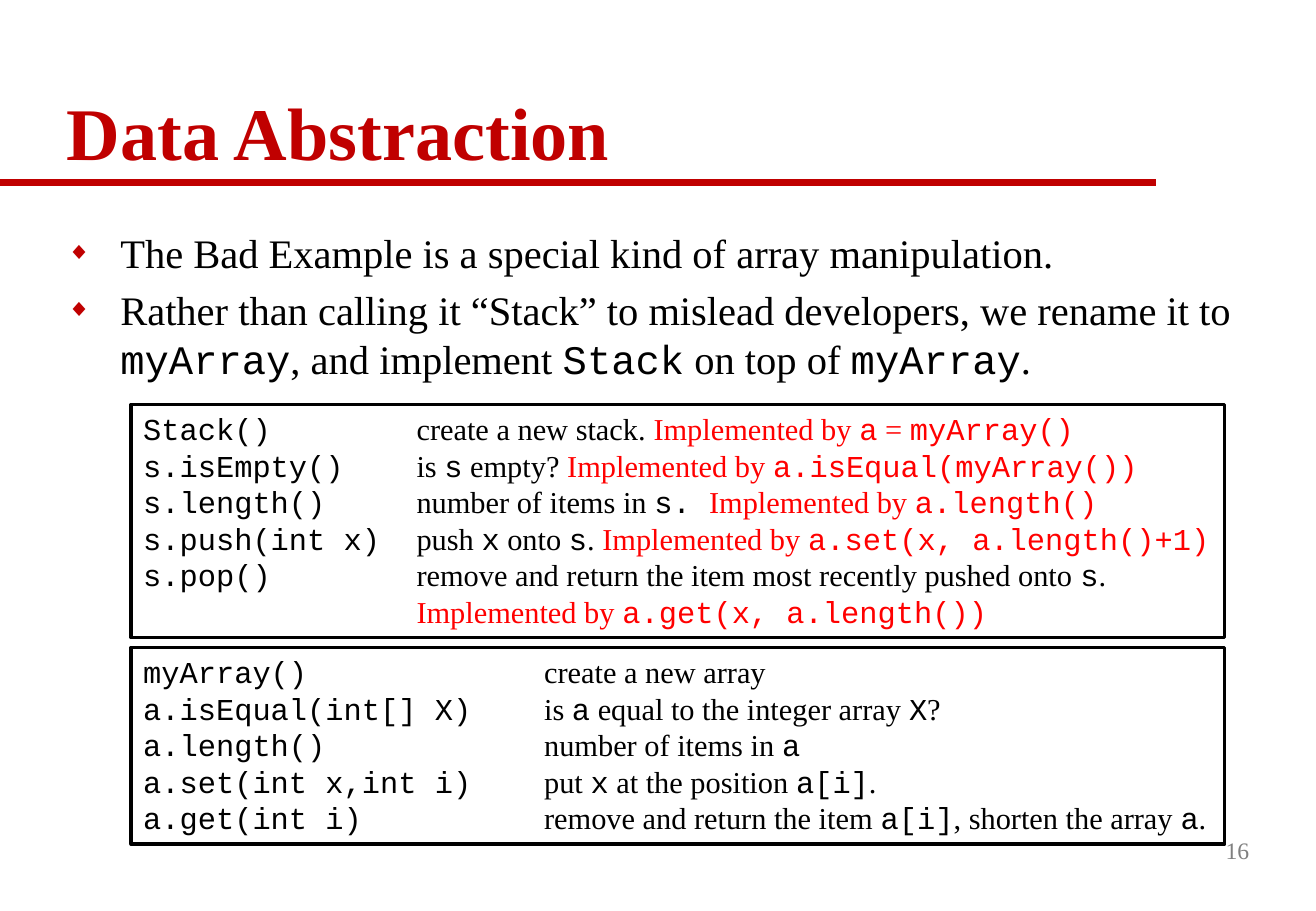
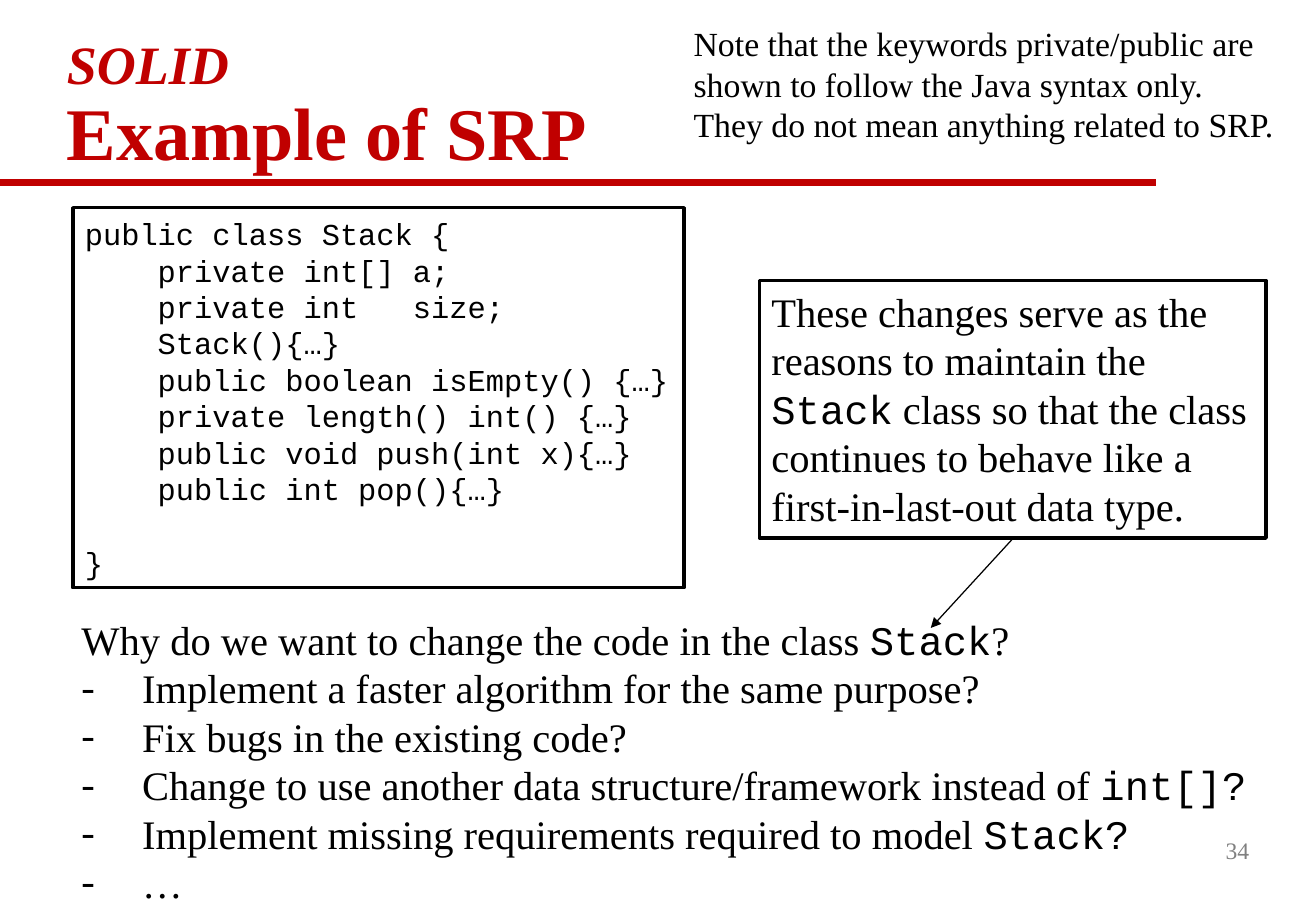
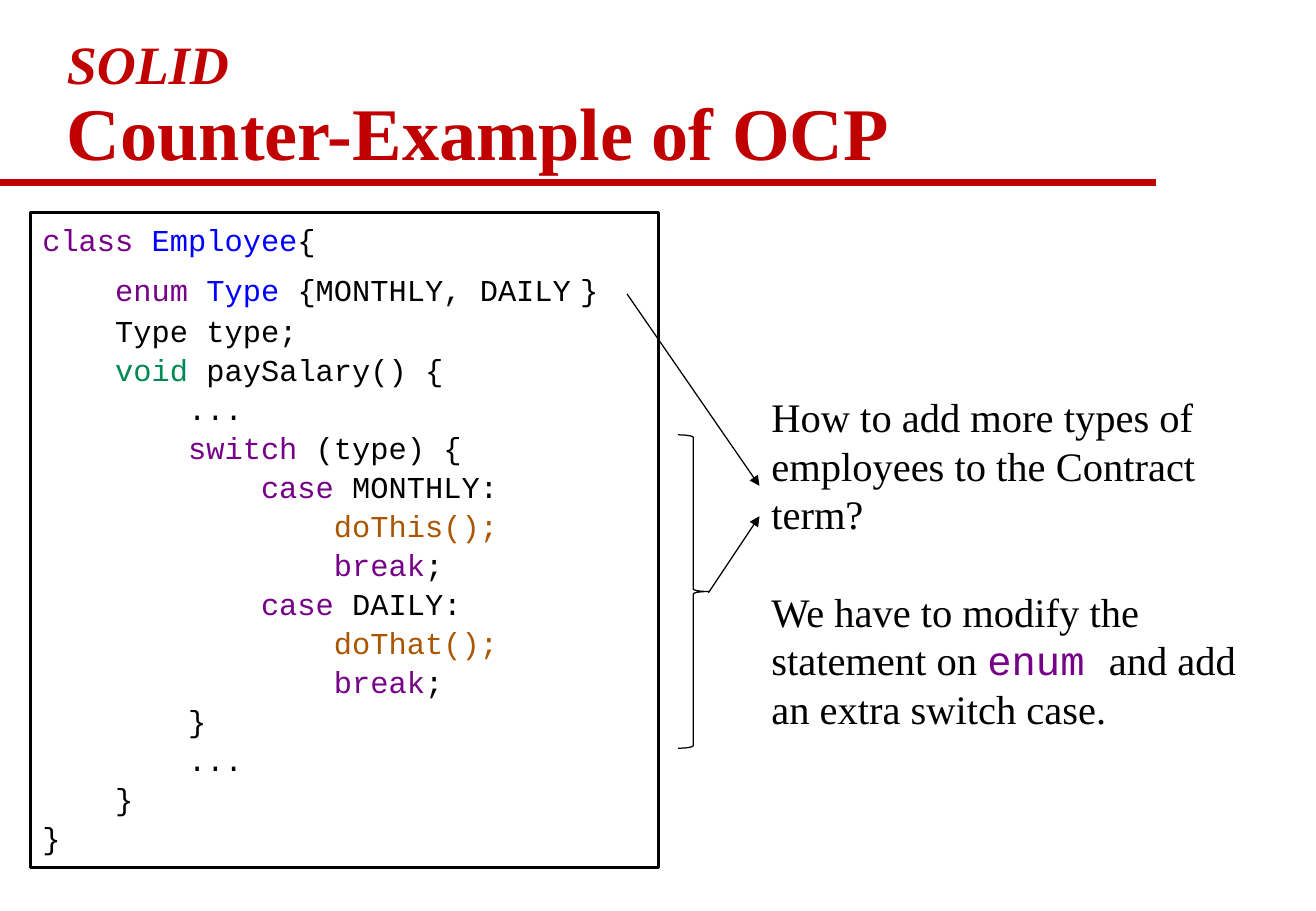
from lxml import etree
from pptx import Presentation
from pptx.dml.color import RGBColor
from pptx.enum.shapes import MSO_CONNECTOR, MSO_SHAPE
from pptx.enum.text import MSO_ANCHOR, MSO_AUTO_SIZE, PP_ALIGN
from pptx.oxml.ns import qn
from pptx.util import Pt

PX = 9144  # 100 px to the inch

SERIF = "Times New Roman"
CODE = "Courier New"
SPACER = "Calibri"

BLACK = RGBColor(0x00, 0x00, 0x00)
WHITE = RGBColor(0xFF, 0xFF, 0xFF)
CRIMSON = RGBColor(0xC0, 0x00, 0x00)
RED = RGBColor(0xFF, 0x00, 0x00)
GRAY = RGBColor(0x80, 0x80, 0x80)
PURPLE = RGBColor(0x77, 0x00, 0x88)
BLUE = RGBColor(0x00, 0x00, 0xFF)
GREEN = RGBColor(0x00, 0x88, 0x55)
ORANGE = RGBColor(0xAA, 0x55, 0x00)

LEFT, RIGHT = PP_ALIGN.LEFT, PP_ALIGN.RIGHT
TOP, MIDDLE, BOTTOM = MSO_ANCHOR.TOP, MSO_ANCHOR.MIDDLE, MSO_ANCHOR.BOTTOM
NO_AUTOFIT = MSO_AUTO_SIZE.NONE
STRAIGHT = MSO_CONNECTOR.STRAIGHT
RECTANGLE, RIGHT_BRACE = MSO_SHAPE.RECTANGLE, MSO_SHAPE.RIGHT_BRACE

TITLE_AND_BODY, TITLE_ONLY = 1, 5
RULE_ID = "20"

STACK_API = [
    ["`Stack()`\tcreate a new stack. ",
     ("Implemented by `a` = `myArray()`", RED)],
    ["`s.isEmpty()`\tis `s` empty? ",
     ("Implemented by `a.isEqual(myArray())`", RED)],
    ["`s.length()`\tnumber of items in `s. `",
     ("Implemented by `a.length()`", RED)],
    ["`s.push(int x)`\tpush `x` onto `s`. ",
     ("Implemented by `a.set(x, a.length()+1)`", RED)],
    ["`s.pop()`\tremove and return the item most recently pushed onto `s`."],
    ["\t", ("Implemented by `a.get(x, a.length())`", RED)],
]

ARRAY_API = [
    ["`myArray()`\tcreate a new array"],
    ["`a.isEqual(int[] X)`\tis `a` equal to the integer array `X`?"],
    ["`a.length()`\tnumber of items in `a`"],
    ["`a.set(int x,int i)`\tput `x` at the position `a[i]`."],
    ["`a.get(int i)`\tremove and return the item `a[i]`, shorten the array `a`."],
]

STACK_CLASS = [
    ["public class Stack {"],
    ["    private int[] a;"],
    ["    private int   size;"],
    ["    Stack(){…}"],
    ["    public boolean isEmpty() {…}"],
    ["    private length() int() {…}"],
    ["    public void push(int x){…}"],
    ["    public int pop(){…}"],
    ["}"],
]

CHANGE_REASONS = [
    ["Why do we want to change the code in the class `Stack`?"],
    ["Implement a faster algorithm for the same purpose?"],
    ["Fix bugs in the existing code?"],
    ["Change to use another data structure/framework instead of `int[]?`"],
    ["Implement missing requirements required to model `Stack?`"],
    ["…"],
]

EMPLOYEE_CLASS = [
    [("class ", PURPLE), ("Employee", BLUE), "{"],
    [("    enum ", PURPLE), ("Type", BLUE), " {MONTHLY, DAILY",
     (" ", BLACK, SPACER, 24), "}"],
    ["    Type type;"],
    [("    void ", GREEN), "paySalary() {"],
    ["        ..."],
    [("        switch", PURPLE), " (type) {"],
    [("            case", PURPLE), " MONTHLY:"],
    [("                doThis();", ORANGE)],
    [("                break", PURPLE), ";"],
    [("            case", PURPLE), " DAILY:"],
    [("                doThat();", ORANGE)],
    [("                break", PURPLE), ";"],
    ["        }"],
    ["        ..."],
    ["    }"],
    ["}"],
]


def px(*lengths):
    return [length * PX for length in lengths]


def place(shape, box):
    shape.left, shape.top, shape.width, shape.height = px(*box)


def add_runs(paragraph, pieces):
    """Add pieces, each a text or (text, colour[, font, size]); backticks mark code."""
    for piece in pieces:
        text, *style = [piece] if isinstance(piece, str) else piece
        for index, part in enumerate(text.split("`")):
            if not part:
                continue
            run = paragraph.add_run()
            run.text = part
            if index % 2:
                run.font.name = CODE
            if style:
                run.font.color.rgb = style[0]
            if len(style) > 1:
                run.font.name, run.font.size = style[1], Pt(style[2])


def write(frame, paragraphs, size, font=SERIF, colour=BLACK, anchor=TOP,
          align=LEFT, spacing=None, form=None):
    """Fill a frame; form(paragraph, index) adds bullets, tabs or gaps."""
    frame.word_wrap = True
    frame.auto_size = NO_AUTOFIT
    frame.vertical_anchor = anchor
    for index, pieces in enumerate(paragraphs):
        paragraph = frame.add_paragraph() if index else frame.paragraphs[0]
        paragraph.alignment = align
        if spacing:
            paragraph.line_spacing = spacing
        if form:
            form(paragraph, index)
        paragraph.font.name = font
        paragraph.font.size = Pt(size)
        paragraph.font.color.rgb = colour
        add_runs(paragraph, pieces)


def set_bullet(paragraph, mark, indent, colour=None, percent=100):
    """Give a hanging bullet, or none when mark is empty."""
    props = paragraph._p.get_or_add_pPr()
    props.set("marL", str(indent * PX))
    props.set("indent", str(-indent * PX))
    if not mark:
        etree.SubElement(props, qn("a:buNone"))
        return
    if colour:
        holder = etree.SubElement(props, qn("a:buClr"))
        etree.SubElement(holder, qn("a:srgbClr"), val=str(colour))
    etree.SubElement(props, qn("a:buSzPct"), val=str(percent * 1000))
    etree.SubElement(props, qn("a:buFont"), typeface=SERIF)
    etree.SubElement(props, qn("a:buChar"), char=mark)


def tab_at(position):
    def form(paragraph, index):
        tabs = etree.SubElement(paragraph._p.get_or_add_pPr(), qn("a:tabLst"))
        etree.SubElement(tabs, qn("a:tab"), pos=str(position * PX), algn="l")
    return form


def gap_before(target, points):
    def form(paragraph, index):
        if index == target:
            paragraph.space_before = Pt(points)
    return form


def diamond_item(paragraph, index):
    paragraph.space_before = Pt(5 if index else 0)
    set_bullet(paragraph, "◆", 44, CRIMSON, 60)


def dash_item(paragraph, index):
    """Leave the opening question plain and put a dash before each answer."""
    paragraph.space_before = Pt(0)
    set_bullet(paragraph, "-" if index else "", 50 if index else 0)


def add_text(slide, box, paragraphs, size, **style):
    write(slide.shapes.add_textbox(*px(*box)).text_frame, paragraphs, size, **style)


def add_panel(slide, box, paragraphs, size, **style):
    """Add a white box with a black border."""
    panel = slide.shapes.add_shape(RECTANGLE, *px(*box))
    panel.shadow.inherit = False
    panel.fill.solid()
    panel.fill.fore_color.rgb = WHITE
    panel.line.color.rgb = BLACK
    panel.line.width = Pt(2)
    write(panel.text_frame, paragraphs, size, **style)


def add_line(slide, ends, colour=BLACK, width=0.75, arrow=True):
    line = slide.shapes.add_connector(STRAIGHT, *px(*ends))
    line.line.color.rgb = colour
    line.line.width = Pt(width)
    props = line.element.spPr
    if arrow:
        etree.SubElement(props.find(qn("a:ln")), qn("a:tailEnd"), type="triangle")
    etree.SubElement(props, qn("a:effectLst"))
    return line


def add_brace(slide, box):
    brace = slide.shapes.add_shape(RIGHT_BRACE, *px(*box))
    brace.shadow.inherit = False
    brace.fill.background()
    brace.line.color.rgb = BLACK
    brace.line.width = Pt(0.75)


def add_master_rule(prs, slide):
    """Draw the title rule and move it to the master, so every slide has it."""
    rule = add_line(slide, (0, 150, 951, 150), CRIMSON, 4, arrow=False)
    rule.element.find(".//" + qn("p:cNvPr")).set("id", RULE_ID)
    prs.slide_master.shapes.element.append(rule.element)


def add_slide(prs, layout, heading, kicker=None, number=None):
    slide = prs.slides.add_slide(prs.slide_layouts[layout])
    title = slide.shapes.title
    place(title, (45, 29, 988, 121))
    write(title.text_frame, [[]], 44, colour=CRIMSON, anchor=BOTTOM, spacing=0.9)
    paragraph = title.text_frame.paragraphs[0]
    paragraph.font.bold = True
    if kicker:
        add_runs(paragraph, [(kicker, CRIMSON, SERIF, 32)])
        paragraph.runs[0].font.italic = True
        paragraph.add_line_break()
    add_runs(paragraph, [heading])
    if number:
        add_text(slide, (812, 675, 226, 50), [[number]], 14,
                 colour=GRAY, anchor=MIDDLE, align=RIGHT)
    return slide


def add_list(slide, box, items, form):
    body = slide.placeholders[1]
    place(body, box)
    write(body.text_frame, items, 24, form=form)


def add_abstraction_slide(prs):
    slide = add_slide(prs, TITLE_AND_BODY, "Data Abstraction", number="16")
    add_list(slide, (45, 183, 988, 542), [
        ["The Bad Example is a special kind of array manipulation."],
        ["Rather than calling it “Stack” to mislead developers, we rename it to "
         "`myArray`, and implement `Stack` on top of `myArray`."],
    ], diamond_item)
    add_panel(slide, (108, 333, 900, 192), STACK_API, 18, form=tab_at(225))
    add_panel(slide, (108, 533, 900, 162), ARRAY_API, 18, form=tab_at(330))
    return slide


def add_srp_slide(prs):
    slide = add_slide(prs, TITLE_AND_BODY, "Example of SRP", "SOLID", "34")
    add_panel(slide, (60, 171, 503, 313), STACK_CLASS, 18, font=CODE,
              anchor=MIDDLE, form=gap_before(len(STACK_CLASS) - 1, 22))
    add_list(slide, (57, 501, 1025, 252), CHANGE_REASONS, dash_item)
    add_panel(slide, (625, 231, 417, 212), [[
        "These changes serve as the reasons to maintain the `Stack` class so that "
        "the class continues to behave like a first-in-last-out data type."]], 24)
    add_line(slide, (833, 444, 766, 517))
    add_text(slide, (561, 14, 500, 111), [[
        "Note that the keywords private/public are shown to follow the Java syntax "
        "only. They do not mean anything related to SRP."]], 20)


def add_ocp_slide(prs):
    slide = add_slide(prs, TITLE_ONLY, "Counter-Example of OCP", "SOLID")
    add_panel(slide, (25, 175, 517, 539), EMPLOYEE_CLASS, 18, font=CODE, spacing=1.07)
    add_line(slide, (516, 242, 625, 400))
    add_brace(slide, (558, 358, 25, 258))
    add_line(slide, (583, 488, 625, 425))
    add_text(slide, (625, 318, 433, 293), [
        ["How to add more types of employees to the Contract term?"],
        ["We have to modify the statement on ", ("`enum `", PURPLE),
         "and add an extra switch case."],
    ], 24, form=gap_before(1, 29))


def main():
    prs = Presentation()
    prs.slide_width, prs.slide_height = px(1083, 750)
    first = add_abstraction_slide(prs)
    add_master_rule(prs, first)
    add_srp_slide(prs)
    add_ocp_slide(prs)
    prs.save("out.pptx")


if __name__ == "__main__":
    main()
